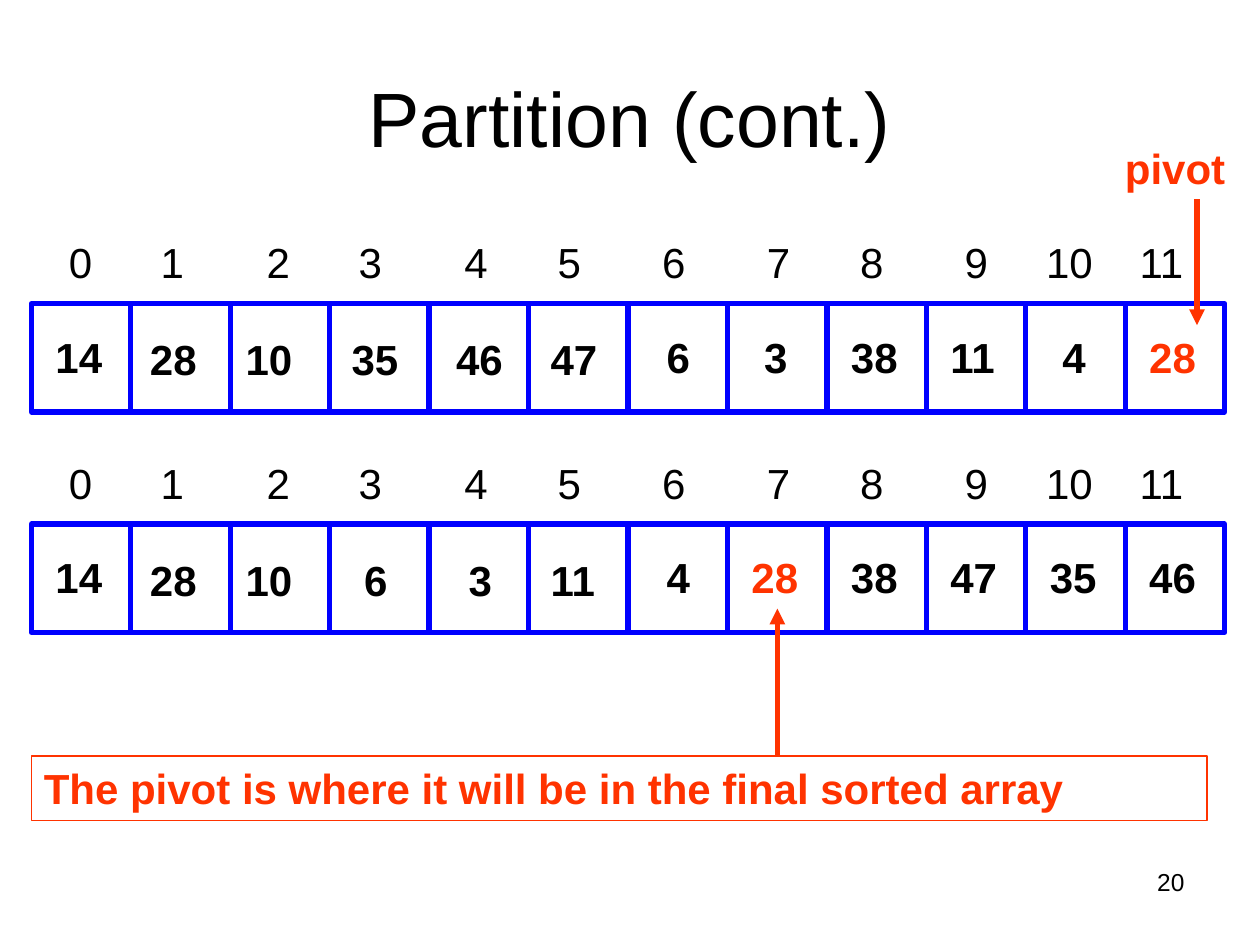
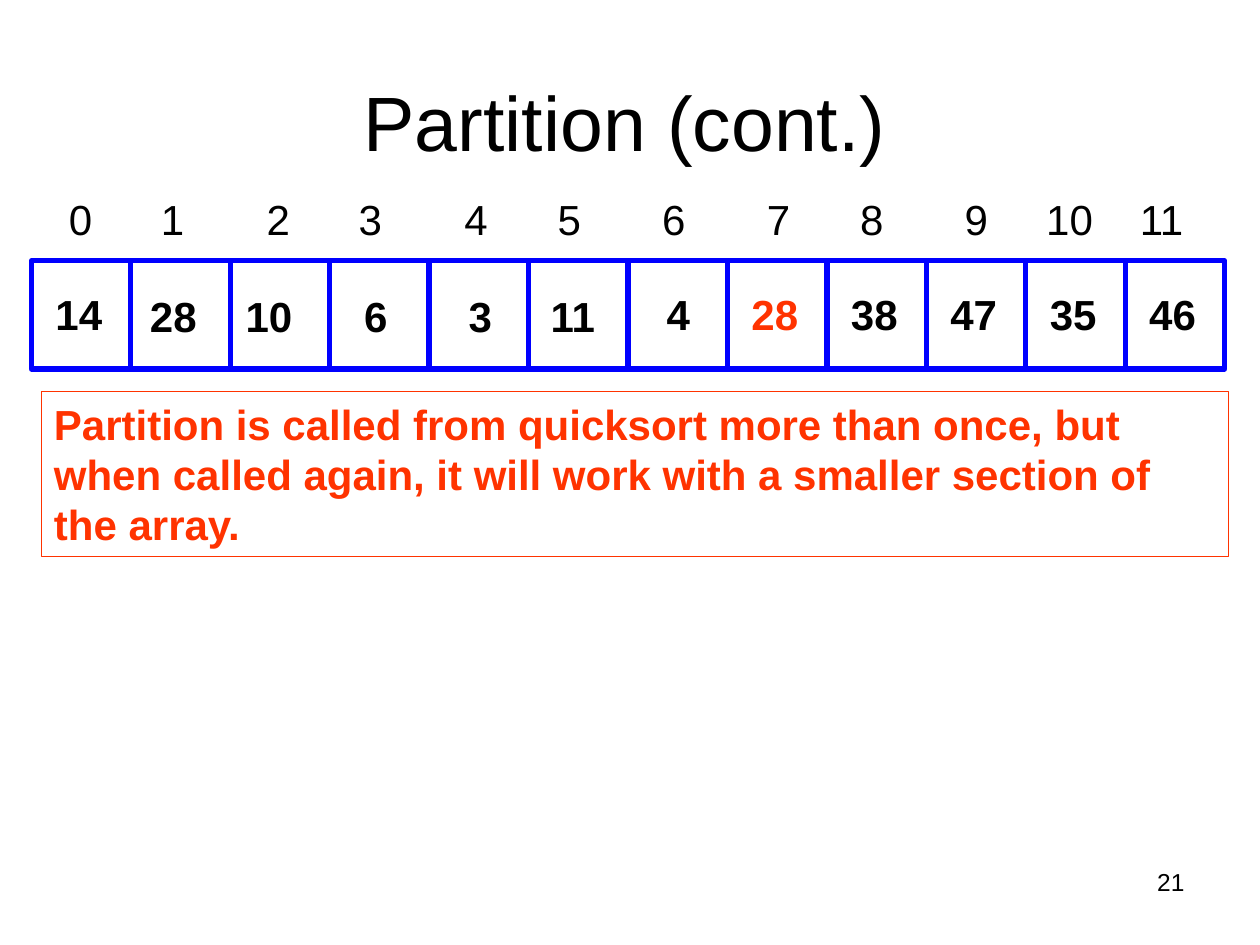
from dataclasses import dataclass

from lxml import etree
from pptx import Presentation
from pptx import util as u
from pptx.dml import color
from pptx.enum import shapes, text
from pptx.oxml import ns


@dataclass(frozen=True)
class Theme:
    font: str = "Arial"
    ink: str = "000000"
    paper: str = "FFFFFF"
    cell_border: str = "0000FF"
    accent: str = "FF3300"
    title_size: int = 44
    body_size: int = 24
    number_size: int = 14
    thick: float = 3
    thin: float = 0.75


# Array geometry, in inches
ARRAY_LEFT, ARRAY_WIDTH, CELL_HEIGHT = 0.25, 9.47, 0.86
INDEX_RISE = 0.58
INDEX_STOPS = (0.37, 1.1, 1.94, 2.67, 3.51, 4.25,
               5.08, 5.91, 6.65, 7.48, 8.22, 8.95)
# Labels in these columns are set a little off their cell
LABEL_LEFTS = {1: 1.0, 2: 1.85, 3: 2.6, 4: 3.43, 5: 4.18, 6: 5.0}
LOW_COLUMNS = range(1, 6)
FLUSH_COLUMN = 2

BEFORE = (14, 28, 10, 35, 46, 47, 6, 3, 38, 11, 4, 28)
AFTER = (14, 28, 10, 6, 3, 11, 4, 28, 38, 47, 35, 46)


def inches(*lengths):
    return [u.Inches(length) for length in lengths]


def rgb(value):
    return color.RGBColor.from_string(value)


class SlideBuilder:
    def __init__(self, deck, theme):
        self.deck, self.theme = deck, theme
        self.page = None

    def new_page(self, title, title_at, number):
        """Start a slide with its title and slide number."""
        self.page = self.deck.slides.add_slide(self.deck.slide_layouts[5])
        heading = self.page.shapes.title
        for name, value in zip(("left", "top", "width", "height"), inches(*title_at)):
            setattr(heading, name, value)
        self.set_text(heading, title, size=self.theme.title_size,
                      align=text.PP_ALIGN.CENTER, anchor=text.MSO_ANCHOR.MIDDLE)
        self.label(str(number), (7.17, 6.83, 2.33, 0.52),
                   size=self.theme.number_size, align=text.PP_ALIGN.RIGHT)

    def set_text(self, shape, words, size=None, ink=None, bold=False,
                 align=text.PP_ALIGN.LEFT, anchor=text.MSO_ANCHOR.TOP,
                 indent=0, stops=()):
        frame = shape.text_frame
        frame_format = {
            "word_wrap": True, "auto_size": text.MSO_AUTO_SIZE.NONE,
            "vertical_anchor": anchor, "margin_left": u.Inches(0.1 + indent),
        }
        for name, value in frame_format.items():
            setattr(frame, name, value)
        para = frame.paragraphs[0]
        para.alignment = align
        if stops:
            tabs = etree.SubElement(para._p.get_or_add_pPr(), ns.qn("a:tabLst"))
            for stop in stops:
                etree.SubElement(tabs, ns.qn("a:tab"),
                                 pos=str(u.Inches(stop)), algn="ctr")
        span = para.add_run()
        span.text = words
        span_format = {"name": self.theme.font, "bold": bold,
                       "size": u.Pt(size or self.theme.body_size)}
        for name, value in span_format.items():
            setattr(span.font, name, value)
        span.font.color.rgb = rgb(ink or self.theme.ink)

    def label(self, words, at, **style):
        box = self.page.shapes.add_textbox(*inches(*at))
        self.set_text(box, words, **style)

    def rectangle(self, at, line, width, fill=None):
        box = self.page.shapes.add_shape(shapes.MSO_SHAPE.RECTANGLE, *inches(*at))
        box.shadow.inherit = False
        if fill:
            box.fill.solid()
            box.fill.fore_color.rgb = rgb(fill)
        else:
            box.fill.background()
        box.line.color.rgb = rgb(line)
        box.line.width = u.Pt(width)
        return box

    def note(self, words, at):
        box = self.rectangle(at, self.theme.accent, self.theme.thin)
        self.set_text(box, words, ink=self.theme.accent, bold=True)

    def arrow(self, start, end):
        connector = self.page.shapes.add_connector(
            shapes.MSO_CONNECTOR.STRAIGHT, *inches(*start, *end))
        connector.line.color.rgb = rgb(self.theme.accent)
        connector.line.width = u.Pt(self.theme.thick)
        outline = connector.line._get_or_add_ln()
        etree.SubElement(outline, ns.qn("a:tailEnd"), type="triangle")
        etree.SubElement(connector._element.spPr, ns.qn("a:effectLst"))

    def array(self, values, top, pivot, index_width=9.83):
        """Draw indexes, cells and values, with the pivot in the accent colour."""
        indexes = "".join(f"\t{index}" for index in range(len(values)))
        self.label(indexes, (0.17, top - INDEX_RISE, index_width, 0.5),
                   stops=INDEX_STOPS)
        cell_width = ARRAY_WIDTH / len(values)
        lefts = [ARRAY_LEFT + column * cell_width for column in range(len(values))]
        for left in lefts:
            self.rectangle((left, top, cell_width, CELL_HEIGHT),
                           self.theme.cell_border, self.theme.thick, self.theme.paper)
        for column, value in enumerate(values):
            drop = 0.19 if column in LOW_COLUMNS else 0.17
            indent = 0.19 if value < 10 else 0.09
            self.label(str(value),
                       (LABEL_LEFTS.get(column, lefts[column]), top + drop, 0.99, 0.65),
                       bold=True, indent=0 if column == FLUSH_COLUMN else indent,
                       ink=self.theme.accent if column == pivot else None)


def main():
    deck = Presentation()
    deck.slide_width, deck.slide_height = inches(10, 7.5)
    theme = Theme()
    builder = SlideBuilder(deck, theme)

    # Array before and after partitioning
    builder.new_page("Partition (cont.)", (0.5, 0.3, 9, 1.25), 20)
    builder.array(BEFORE, top=2.41, pivot=11)
    builder.label("pivot", (8.83, 1.08, 1.08, 0.5), ink=theme.accent, bold=True)
    builder.arrow((9.5, 1.58), (9.5, 2.58))
    builder.array(AFTER, top=4.16, pivot=7)
    builder.note("The pivot is where it will be in the final sorted array",
                 (0.25, 6, 9.33, 0.51))
    builder.arrow((6.17, 6), (6.17, 4.83))

    # Repeated calls on smaller sections
    builder.new_page("Partition (cont.)", (0.75, 0.33, 8.42, 1.25), 21)
    builder.array(AFTER, top=2.07, pivot=7, index_width=9.58)
    builder.note("Partition is called from quicksort more than once, but when "
                 "called again, it will work with a smaller section of the array.",
                 (0.33, 3.11, 9.42, 1.31))

    deck.save("out.pptx")


if __name__ == "__main__":
    main()
